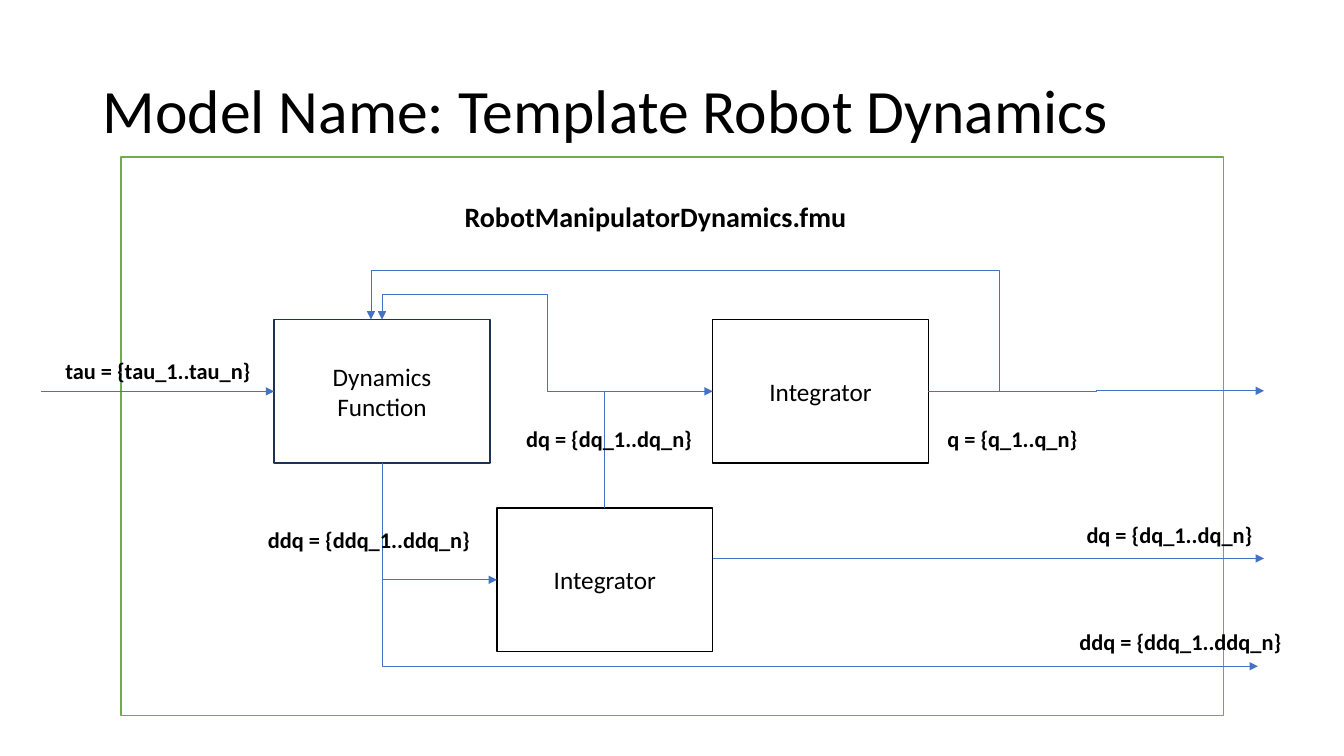
from dataclasses import dataclass

from lxml.etree import SubElement
from pptx import Presentation
from pptx.dml.color import RGBColor
from pptx.enum.shapes import MSO_CONNECTOR, MSO_SHAPE
from pptx.enum.text import MSO_ANCHOR, MSO_AUTO_SIZE, PP_ALIGN
from pptx.oxml.ns import qn
from pptx.util import Inches, Pt


@dataclass(frozen=True)
class Theme:
    font: str = "Calibri"
    ink: str = "000000"
    paper: str = "FFFFFF"
    frame: str = "70AD47"
    dynamics: str = "1E3256"
    signal: str = "4472C4"
    title_size: int = 44
    name_size: int = 20
    block_size: int = 18
    label_size: int = 16


THEME = Theme()
WIDTH, HEIGHT = Inches(13.333), Inches(7.5)

# Grid in percent of the slide's width and height
BLOCK_W, BLOCK_H = 16.05, 19
DYNAMICS_X, VELOCITY_X = 20.4, 36.98
POSITION_X = VELOCITY_X + BLOCK_W
UPPER_Y, LOWER_Y = 42.27, 67.2
DYNAMICS_MID, VELOCITY_MID = DYNAMICS_X + BLOCK_W / 2, VELOCITY_X + BLOCK_W / 2
UPPER_MID, LOWER_MID = UPPER_Y + BLOCK_H / 2, LOWER_Y + BLOCK_H / 2
OUTPUT_X = 94.05
LABEL_H = 4.93


def across(share):
    return round(WIDTH * share / 100)


def down(share):
    return round(HEIGHT * share / 100)


def area(x, y, w, h):
    return across(x), down(y), across(w), down(h)


def write(frame, text, size, bold=False, align=PP_ALIGN.LEFT,
          anchor=MSO_ANCHOR.TOP, spacing=None, fit=MSO_AUTO_SIZE.NONE):
    frame.text = text
    frame.word_wrap = True
    frame.auto_size = fit
    frame.vertical_anchor = anchor
    for paragraph in frame.paragraphs:
        paragraph.alignment = align
        paragraph.line_spacing = spacing
        font = paragraph.runs[0].font
        font.name, font.size, font.bold = THEME.font, Pt(size), bold
        font.color.rgb = RGBColor.from_string(THEME.ink)


def box(slide, x, y, w, h, outline):
    rectangle = slide.shapes.add_shape(MSO_SHAPE.RECTANGLE, *area(x, y, w, h))
    rectangle.shadow.inherit = False
    rectangle.fill.solid()
    rectangle.fill.fore_color.rgb = RGBColor.from_string(THEME.paper)
    rectangle.line.color.rgb = RGBColor.from_string(outline)
    rectangle.line.width = Pt(1)
    return rectangle


def block(slide, text, x, y, outline=THEME.ink):
    rectangle = box(slide, x, y, BLOCK_W, BLOCK_H, outline)
    write(rectangle.text_frame, text, THEME.block_size,
          align=PP_ALIGN.CENTER, anchor=MSO_ANCHOR.MIDDLE)


def label(slide, text, x, y, w, h=LABEL_H, size=THEME.label_size):
    caption = slide.shapes.add_textbox(*area(x, y, w, h))
    write(caption.text_frame, text, size, bold=True,
          fit=MSO_AUTO_SIZE.SHAPE_TO_FIT_TEXT)


def arrow(slide, start, end, kind=MSO_CONNECTOR.STRAIGHT):
    line = slide.shapes.add_connector(
        kind, across(start[0]), down(start[1]), across(end[0]), down(end[1]))
    line.line.color.rgb = RGBColor.from_string(THEME.signal)
    line.line.width = Pt(0.5)
    properties = line._element.spPr
    SubElement(properties.find(qn("a:ln")), qn("a:tailEnd"), type="triangle")
    SubElement(properties, qn("a:effectLst"))
    return line


def elbow(slide, start, end, preset, turn=0, flips="", bends=()):
    """Bent arrow: turn in degrees, flips from H and V, bends as shares of its box."""
    line = arrow(slide, start, end, MSO_CONNECTOR.ELBOW)
    if turn in (90, 270):
        # A quarter turn swaps the sides about the same centre
        shift = (line.width - line.height) // 2
        line.left, line.top = line.left + shift, line.top - shift
        line.width, line.height = line.height, line.width
    properties = line._element.spPr
    transform = properties.find(qn("a:xfrm"))
    for axis in "HV":
        transform.set("flip" + axis, "1" if axis in flips else "0")
    transform.set("rot", str(turn * 60000))
    geometry = properties.find(qn("a:prstGeom"))
    geometry.set("prst", preset)
    guides = geometry.find(qn("a:avLst"))
    for number, share in enumerate(bends, 1):
        SubElement(guides, qn("a:gd"), name=f"adj{number}",
                   fmla=f"val {round(share * 100000)}")


def add_title(slide, text):
    title = slide.shapes.title
    title.left, title.top, title.width, title.height = area(6.9, 5.33, 86.25, 19.33)
    write(title.text_frame, text, THEME.title_size,
          anchor=MSO_ANCHOR.MIDDLE, spacing=0.9)


def add_blocks(slide):
    box(slide, 9, 20.8, 82.05, 73.87, THEME.frame)
    block(slide, "Dynamics\nFunction", DYNAMICS_X, UPPER_Y, THEME.dynamics)
    block(slide, "Integrator", VELOCITY_X, LOWER_Y)
    block(slide, "Integrator", POSITION_X, UPPER_Y)


def add_signals(slide):
    branch = (DYNAMICS_MID, LOWER_MID)
    velocity_node = (VELOCITY_MID, UPPER_MID)
    # Input torque and the chain of integrators
    arrow(slide, (3.08, UPPER_MID), (DYNAMICS_X, UPPER_MID))
    elbow(slide, (DYNAMICS_MID, UPPER_Y + BLOCK_H), (VELOCITY_X, LOWER_MID),
          "bentConnector2", turn=270, flips="H")
    elbow(slide, (VELOCITY_MID, LOWER_Y), (POSITION_X, UPPER_MID),
          "bentConnector2", turn=90, flips="HV")
    # Feedback to the dynamics function
    elbow(slide, velocity_node, (DYNAMICS_MID, UPPER_Y),
          "bentConnector4", turn=180, bends=(0.26, 1.35))
    elbow(slide, (73.43, UPPER_MID), (27.6, UPPER_Y),
          "bentConnector4", turn=180, bends=(-0.02, 1.69))
    # Outputs
    elbow(slide, (POSITION_X + BLOCK_W, UPPER_MID), (OUTPUT_X, 51.7),
          "bentConnector3", flips="V", bends=(0.5,))
    arrow(slide, (POSITION_X, 73.87), (OUTPUT_X, 73.87))
    elbow(slide, branch, (93.6, 88.13), "bentConnector3", bends=(0,))


def add_labels(slide):
    label(slide, "RobotManipulatorDynamics.fmu", 33.83, 25.73, 30.98,
          h=5.87, size=THEME.name_size)
    label(slide, " tau = {tau_1..tau_n}", 3.75, 46.53, 17.4)
    label(slide, "q = {q_1..q_n}", 69.75, 55.6, 17.33)
    for x, y in ((38.03, 55.6), (79.73, 68.27)):
        label(slide, " dq = {dq_1..dq_n}", x, y, 16.05)
    for x, y in ((18.83, 68.93), (79.2, 82.4)):
        label(slide, " ddq = {ddq_1..ddq_n}", x, y, 19.2)


def main():
    deck = Presentation()
    deck.slide_width, deck.slide_height = WIDTH, HEIGHT
    slide = deck.slides.add_slide(deck.slide_layouts.get_by_name("Title Only"))
    add_title(slide, "Model Name: Template Robot Dynamics")
    add_blocks(slide)
    add_signals(slide)
    add_labels(slide)
    deck.save("out.pptx")


if __name__ == "__main__":
    main()
